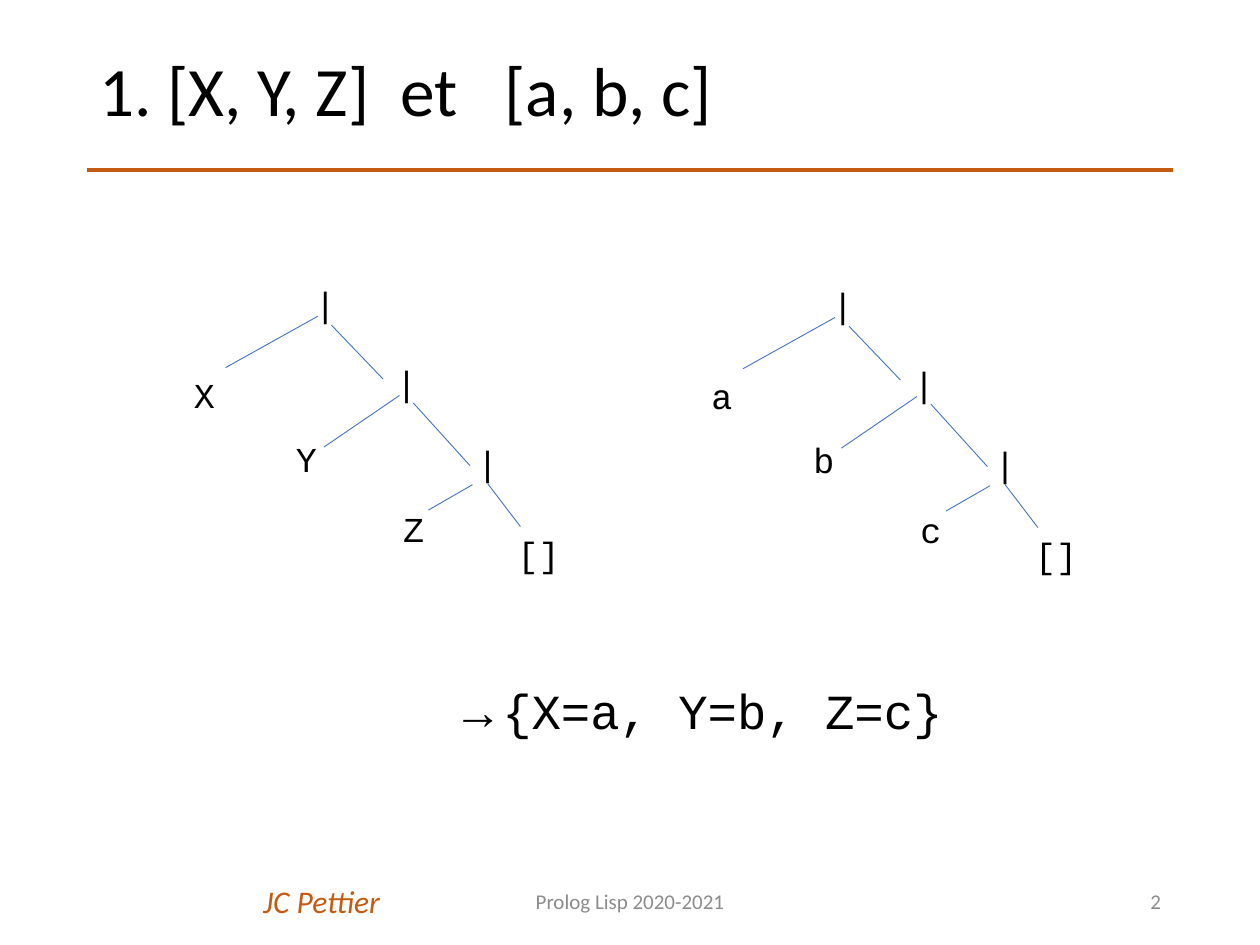
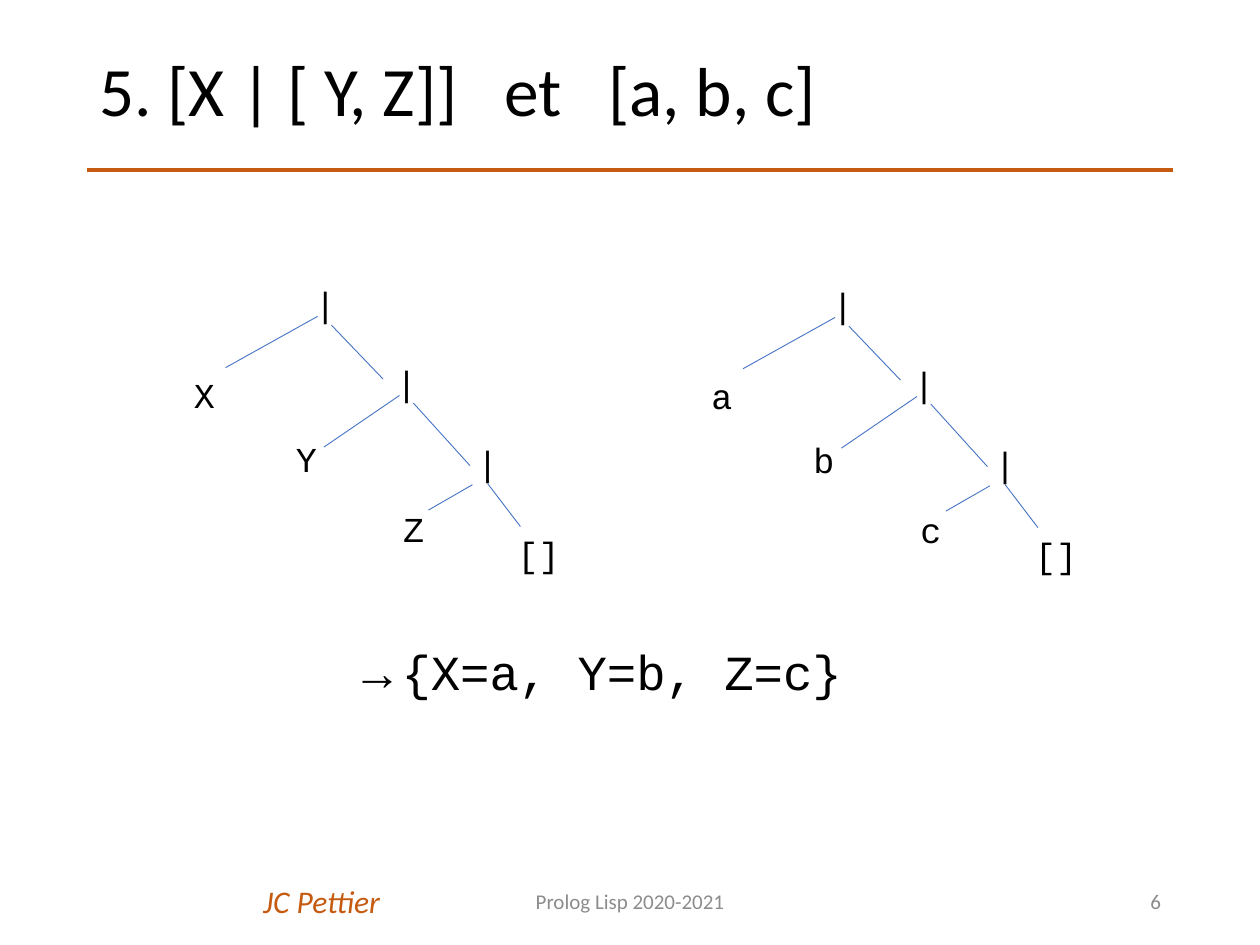
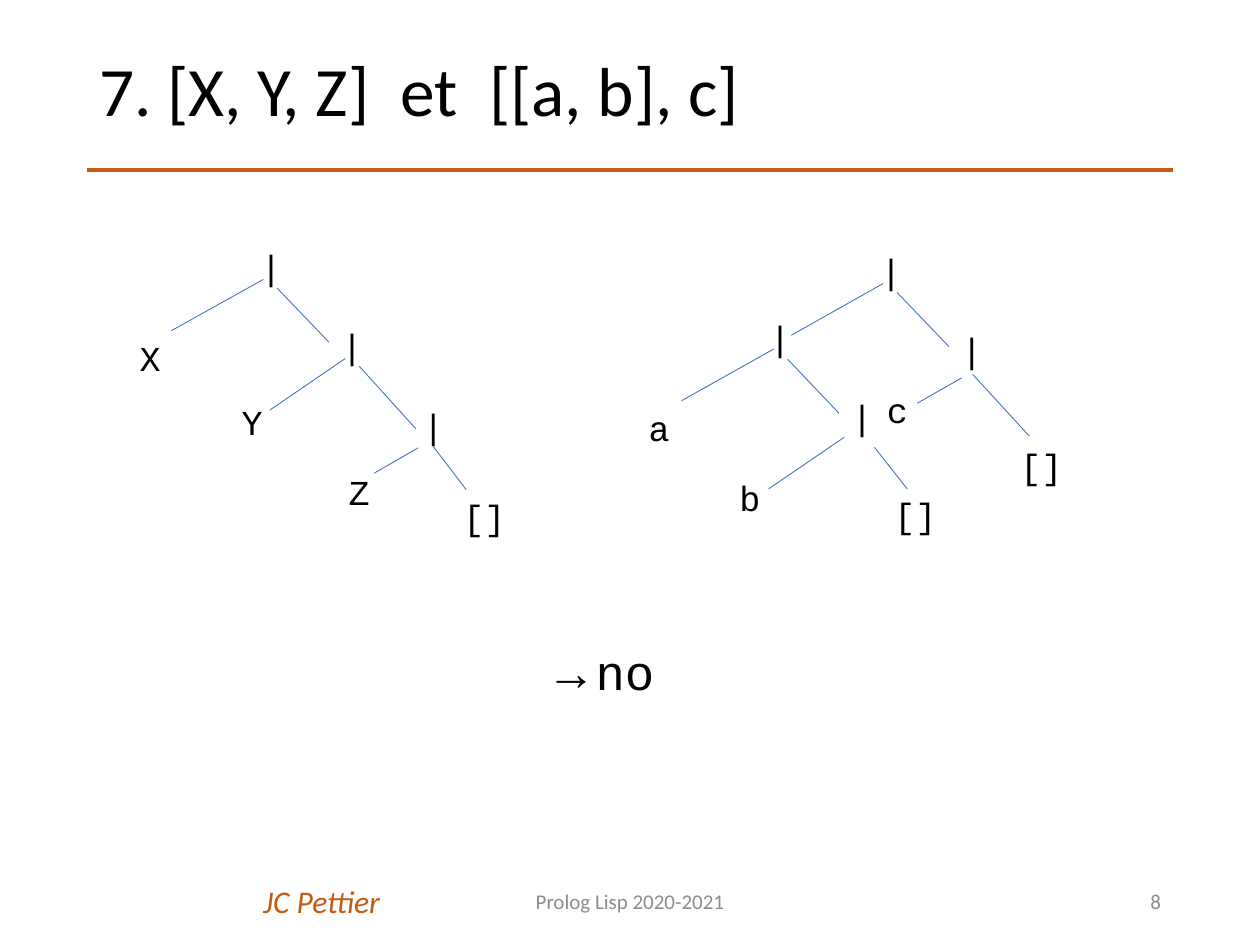
from dataclasses import dataclass

from lxml.etree import SubElement
from pptx import Presentation
from pptx.dml.color import RGBColor
from pptx.enum.shapes import MSO_CONNECTOR as Connector
from pptx.enum.text import MSO_ANCHOR as Anchor, MSO_AUTO_SIZE as AutoSize, PP_ALIGN as Align
from pptx.oxml.ns import qn
from pptx.util import Pt


@dataclass(frozen=True)
class Theme:
    ink: str = "000000"
    accent: str = "C55A11"
    branch: str = "4472C4"
    muted: str = "8C8C8C"
    sans: str = "Calibri"
    mono: str = "Courier New"
    arrow: str = "Arial"
    title_size: float = 39.6
    answer_size: float = 28
    node_size: float = 20
    credit_size: float = 18
    footer_size: float = 12
    rule_width: float = 2.25
    branch_width: float = 0.5


@dataclass(frozen=True)
class Tree:
    nodes: tuple
    branches: tuple


def flat_list(*items):
    places = ((0, 52.5), (58.3, 88.7), (119.5, 129))
    bars = tuple(("|", 69.1 + 46.4 * level, 45.5 * level) for level in range(3))
    leaves = tuple((item, *place) for item, place in zip(items, places))
    branches = (
        (25.2, 52.5, 77.8, 23.2), (85.7, 28.2, 115.2, 59),
        (81.4, 97.9, 124.6, 68.4), (132.5, 72.7, 164.9, 108.5),
        (141.1, 133.9, 166.3, 119.4), (175, 118.8, 193.7, 143.3),
    )
    return Tree(bars + leaves + (("[]", 185, 143.3),), branches)


NESTED_LIST = Tree(
    nodes=(
        ("|", 132.5, 0), ("|", 69.1, 38.2), ("|", 115.9, 83.5), ("|", 178.6, 45.4),
        ("a", 0, 90), ("b", 51.8, 129.6), ("c", 136.1, 79.2),
        ("[]", 140.4, 139.7), ("[]", 212.4, 111.6),
    ),
    branches=(
        (88.6, 52.6, 141.1, 23), (149, 28.1, 178.6, 59),
        (25.9, 90, 78.5, 60.5), (86.4, 66.2, 115.9, 97.2),
        (75.6, 140.4, 118.8, 110.9), (136.1, 116.6, 154.8, 140.4),
        (160.6, 91.4, 185.8, 77), (192.2, 74.9, 224.6, 110.2),
    ),
)
VARIABLES = flat_list("X", "Y", "Z")
CONSTANTS = flat_list("a", "b", "c")
LEFT_TREE = (103.7, 157.6)
RIGHT_TREE = (399.4, 158.2)

EXERCISES = (
    ("1. [X, Y, Z]  et   [a, b, c]", 2,
     ((VARIABLES, LEFT_TREE), (CONSTANTS, RIGHT_TREE)),
     "{X=a, Y=b, Z=c}", (252, 385.2, 319)),
    ("5. [X | [ Y, Z]]   et   [a, b, c]", 6,
     ((CONSTANTS, RIGHT_TREE), (VARIABLES, LEFT_TREE)),
     "{X=a, Y=b, Z=c}", (194.4, 362.9, 353.5)),
    ("7. [X, Y, Z]  et  [[a, b], c]", 8,
     ((NESTED_LIST, (363.6, 139)), (VARIABLES, (72.7, 136.5))),
     "no", (305.3, 362.9, 92.9)),
)


def write(paragraph, text, *, font, size, color, italic=False, align=Align.LEFT):
    paragraph.alignment = align
    run = paragraph.add_run()
    run.text = text
    run.font.name = font
    run.font.size = Pt(size)
    run.font.color.rgb = RGBColor.from_string(color)
    run.font.italic = italic


class Deck:
    def __init__(self, theme):
        self.theme = theme
        self.presentation = Presentation()
        self.presentation.slide_width = Pt(720)
        self.presentation.slide_height = Pt(540)
        self.slide = None

    def start_slide(self, heading, number):
        theme = self.theme
        self.slide = self.presentation.slides.add_slide(self.presentation.slide_layouts[5])
        credit = self.text_area(self.slide.shapes, 143.3, 500.4, 85.7, 28.8)
        write(credit, "JC Pettier", font=theme.sans, size=theme.credit_size,
              color=theme.accent, italic=True)
        self.line(self.slide.shapes, (49.5, 97.2, 670.5, 97.2), theme.accent, theme.rule_width)
        self.title(heading)
        self.footer("Prolog Lisp 2020-2021", 238.5, 243, Align.CENTER)
        self.footer(str(number), 508.5, 162, Align.RIGHT)

    def title(self, heading):
        title = self.slide.shapes.title
        title.left, title.top, title.width, title.height = Pt(49.5), Pt(28.8), Pt(621), Pt(49.7)
        frame = title.text_frame
        frame.auto_size = AutoSize.NONE
        frame.vertical_anchor = Anchor.MIDDLE
        paragraph = frame.paragraphs[0]
        paragraph.line_spacing = 0.9
        write(paragraph, heading, font=self.theme.sans, size=self.theme.title_size,
              color=self.theme.ink)

    def footer(self, text, left, width, align):
        paragraph = self.text_area(self.slide.shapes, left, 500.4, width, 28.8, Anchor.MIDDLE)
        write(paragraph, text, font=self.theme.sans, size=self.theme.footer_size,
              color=self.theme.muted, align=align)

    def text_area(self, shapes, left, top, width, height, anchor=Anchor.TOP):
        frame = shapes.add_textbox(Pt(left), Pt(top), Pt(width), Pt(height)).text_frame
        frame.word_wrap = True
        frame.vertical_anchor = anchor
        return frame.paragraphs[0]

    def line(self, shapes, ends, color, width):
        connector = shapes.add_connector(Connector.STRAIGHT, *map(Pt, ends))
        connector.line.color.rgb = RGBColor.from_string(color)
        connector.line.width = Pt(width)
        SubElement(connector.element.spPr, qn("a:effectLst"))

    def tree(self, tree, origin):
        theme = self.theme
        left, top = origin
        shapes = self.slide.shapes.add_group_shape().shapes
        for x1, y1, x2, y2 in tree.branches:
            self.line(shapes, (left + x1, top + y1, left + x2, top + y2),
                      theme.branch, theme.branch_width)
        for label, x, y in tree.nodes:
            width = 51.1 if label == "[]" else 25.2
            node = self.text_area(shapes, left + x, top + y, width, 28.1)
            write(node, label, font=theme.mono, size=theme.node_size, color=theme.ink)

    def answer(self, result, left, top, width):
        theme = self.theme
        paragraph = self.text_area(self.slide.shapes, left, top, width, 41)
        for text, font in (("→", theme.arrow), (result, theme.mono)):
            write(paragraph, text, font=font, size=theme.answer_size, color=theme.ink)


def main():
    deck = Deck(Theme())
    for heading, number, trees, result, place in EXERCISES:
        deck.start_slide(heading, number)
        for tree, origin in trees:
            deck.tree(tree, origin)
        deck.answer(result, *place)
    deck.presentation.save("out.pptx")


if __name__ == "__main__":
    main()
